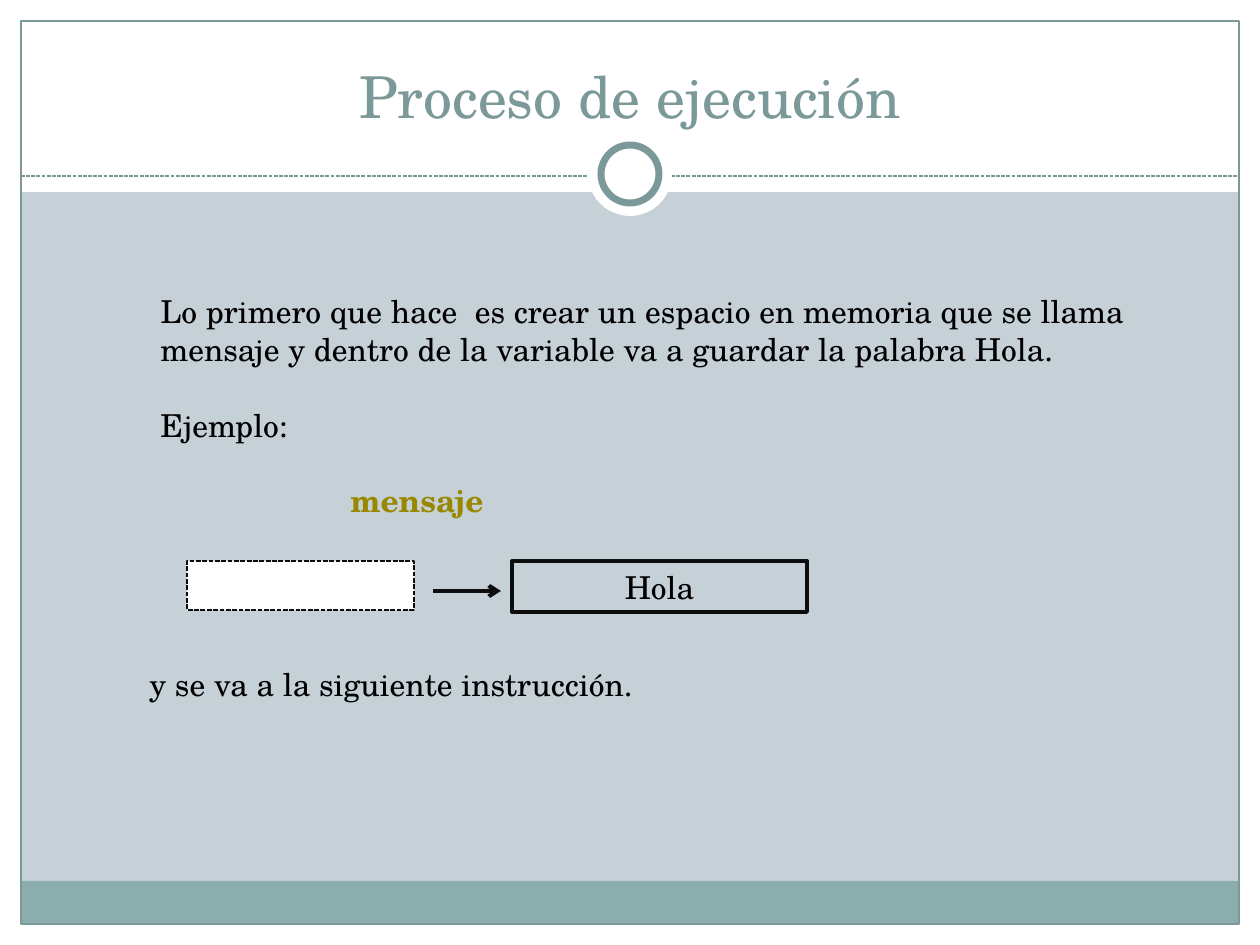
"""Build the slide that explains how a variable is stored."""
import pptx
import pptx.util
import pptx.dml.color
import pptx.enum.dml
import pptx.enum.shapes
import pptx.enum.text
import pptx.oxml
import pptx.oxml.ns

PX = 914400 // 126
WIDE, HIGH, EDGE = 1260, 945, 21
FONT = "TeX Gyre Schola"
WHITE, BLACK, INK = "FFFFFF", "000000", "0D0D0D"
TEAL, PALE, BACK, GOLD = "7C999A", "8CADAE", "C5D1D7", "998700"
DASH = pptx.enum.dml.MSO_LINE.SQUARE_DOT
KIND = pptx.enum.shapes.MSO_SHAPE
ALIGN = pptx.enum.text.PP_ALIGN
ANCHOR = pptx.enum.text.MSO_ANCHOR

BANDS = [
    ((0, HIGH - EDGE, WIDE, EDGE), WHITE),
    ((0, 0, WIDE, 192), WHITE),
    ((0, 0, EDGE, HIGH), WHITE),
    ((WIDE - EDGE, 0, EDGE, HIGH), WHITE),
    ((EDGE, 881, WIDE - 2 * EDGE, 43), PALE),
]
TITLE = "Proceso de ejecución"
BODY = [
    ("Lo primero que hace  es crear un espacio en memoria que se llama "
     "mensaje y dentro de la variable va a guardar la palabra Hola.", {}),
    ("Ejemplo:", {"gap": 21.6}),
    ("mensaje", {"gap": 21.6, "indent": 190, "bold": True, "color": GOLD}),
]
VALUE = "Hola"
CLOSE = "y se va a la siguiente instrucción."


def px(num):
    return pptx.util.Emu(int(num * PX))


def rgb(code):
    return pptx.dml.color.RGBColor.from_string(code)


def stroke(line, color, width, dash=None):
    line.color.rgb = rgb(color)
    line.width = pptx.util.Pt(width)
    if dash:
        line.dash_style = dash


def shape(slide, box, fill=None, line=None, kind=KIND.RECTANGLE):
    item = slide.shapes.add_shape(kind, *map(px, box))
    item.shadow.inherit = False
    if fill:
        item.fill.solid()
        item.fill.fore_color.rgb = rgb(fill)
    else:
        item.fill.background()
    if line:
        stroke(item.line, *line)
    else:
        item.line.fill.background()
    return item


def link(slide, ends, line, arrow=False):
    item = slide.shapes.add_connector(
        pptx.enum.shapes.MSO_CONNECTOR.STRAIGHT, *map(px, ends))
    stroke(item.line, *line)
    if arrow:
        tail = pptx.oxml.ns.qn("a:tailEnd")
        item.line._get_or_add_ln().append(
            item._element.makeelement(tail, {"type": "arrow"}))
    item._element.spPr.append(
        item._element.makeelement(pptx.oxml.ns.qn("a:effectLst"), {}))


def write(frame, text, size=18, color=BLACK, bold=False, align=ALIGN.LEFT,
          gap=0, indent=0):
    para = frame.paragraphs[0]
    if para.runs:
        para = frame.add_paragraph()
    para.alignment = align
    para.space_before = pptx.util.Pt(gap)
    if indent:
        para._p.get_or_add_pPr().set("marL", str(px(indent)))
    run = para.add_run()
    run.text = text
    font = run.font
    font.name, font.size, font.bold = FONT, pptx.util.Pt(size), bold
    font.color.rgb = rgb(color)


def frame(slide, box, anchor=ANCHOR.TOP):
    area = slide.shapes.add_textbox(*map(px, box)).text_frame
    area.word_wrap = True
    area.vertical_anchor = anchor
    return area


def ring(slide, mid, size, line=None):
    box = (WIDE / 2 - size / 2, mid - size / 2, size, size)
    shape(slide, box, WHITE, line, KIND.OVAL)


def main():
    deck = pptx.Presentation()
    deck.slide_width, deck.slide_height = px(WIDE), px(HIGH)
    slide = deck.slides.add_slide(deck.slide_layouts[6])
    slide.background.fill.solid()
    slide.background.fill.fore_color.rgb = rgb(BACK)

    for box, fill in BANDS:
        shape(slide, box, fill)
    shape(slide, (EDGE, EDGE, WIDE - 2 * EDGE, HIGH - 2 * EDGE),
          line=(TEAL, 0.75))
    link(slide, (EDGE, 176, WIDE - EDGE, 176), (TEAL, 0.75, DASH))
    ring(slide, 174, 84)
    ring(slide, 174, 58, (TEAL, 4))

    head = frame(slide, (42, 32, 1176, 104), ANCHOR.BOTTOM)
    write(head, TITLE, size=33, color=TEAL, align=ALIGN.CENTER)
    body = frame(slide, (148, 286, 1014, 280))
    for text, style in BODY:
        write(body, text, **style)

    value = shape(slide, (512, 561, 295, 51), line=(INK, 2.25))
    write(value.text_frame, VALUE, align=ALIGN.CENTER)
    shape(slide, (187, 561, 227, 49), WHITE, (INK, 0.9, DASH))
    link(slide, (433, 591, 501, 591), (INK, 2.25), arrow=True)
    write(frame(slide, (137, 659, 748, 51)), CLOSE)
    deck.save("out.pptx")


if __name__ == "__main__":
    main()
